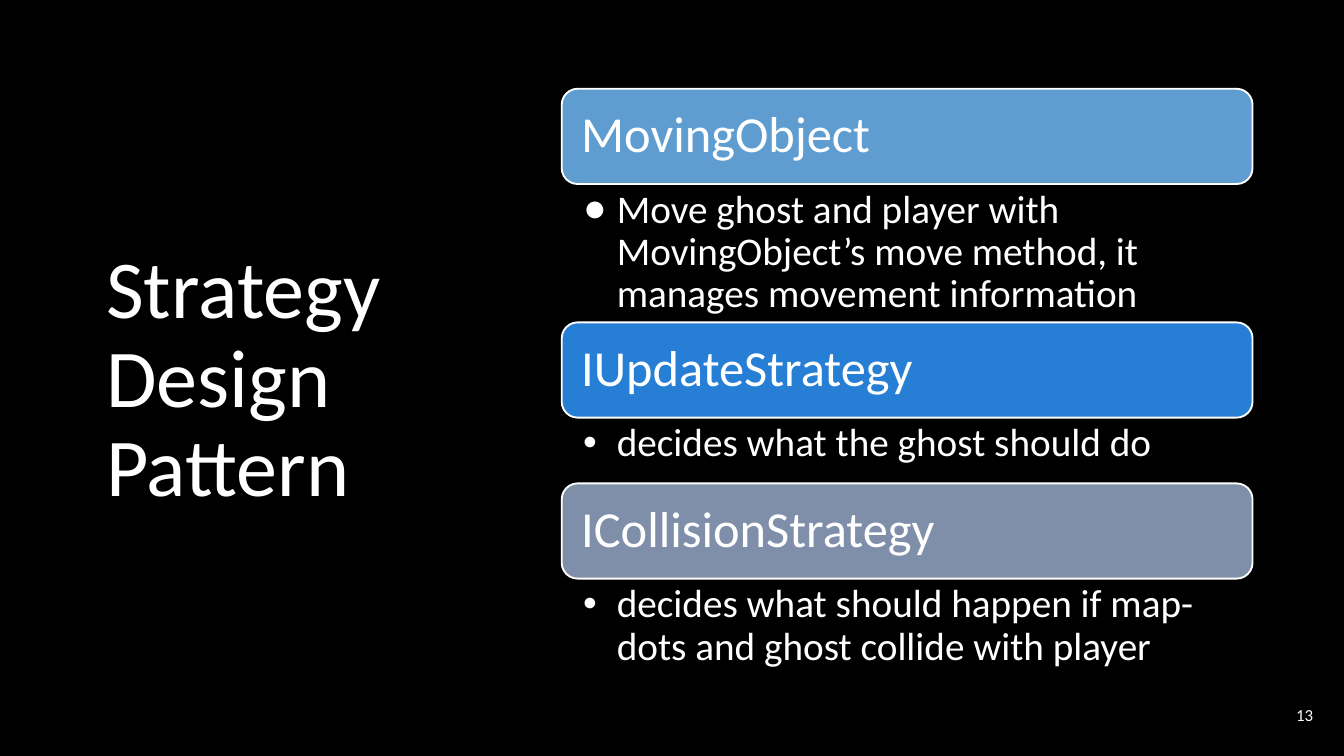
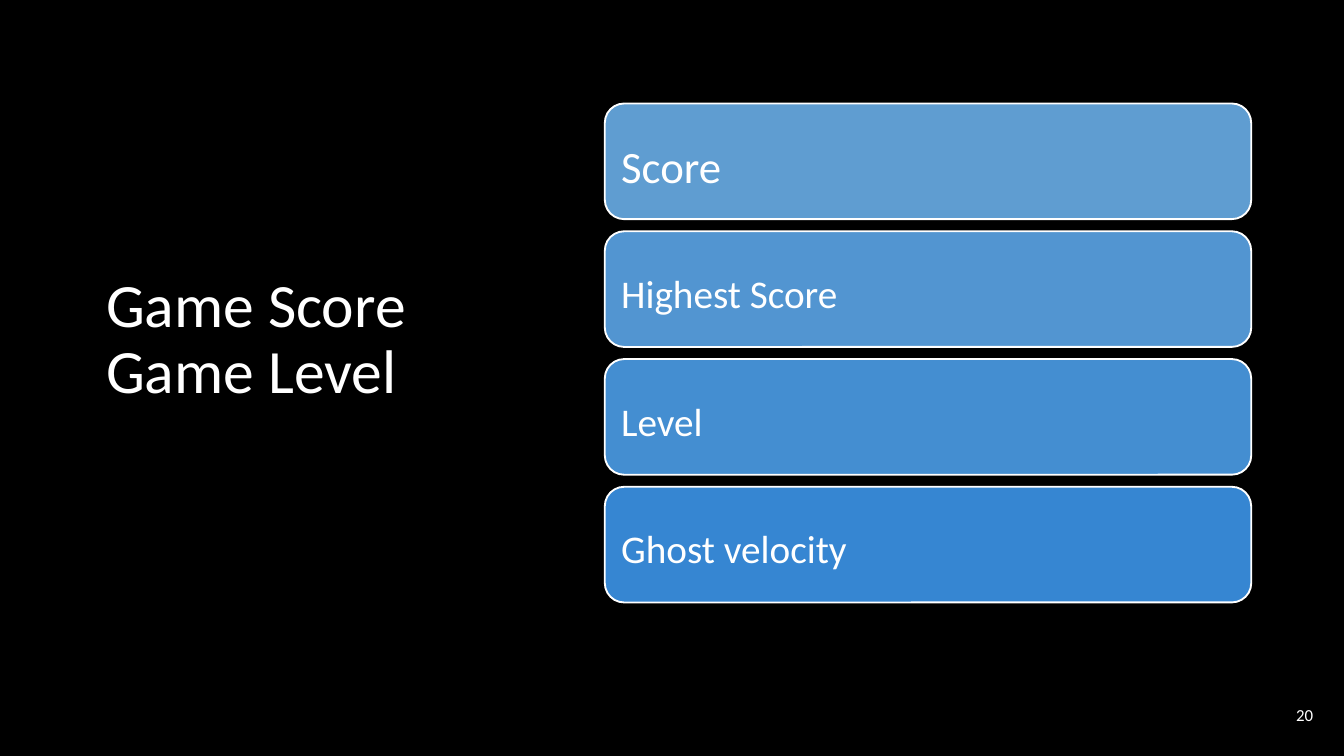
import pptx
import pptx.util
import pptx.dml.color
import pptx.enum.shapes
import pptx.enum.text
import pptx.oxml.ns
from lxml import etree

Inches, Pt = pptx.util.Inches, pptx.util.Pt
ALIGN = pptx.enum.text.PP_ALIGN
ANCHOR = pptx.enum.text.MSO_ANCHOR

# Shared look
WIDTH, HEIGHT = 10, 5.625
GRID = 100  # columns and rows on each slide
COLOURS = {
    "background": "000000", "text": "FFFFFF", "outline": "FFFFFF",
    "moving": "5F9DD1", "update": "267FD5", "collision": "7F8FA9",
    "score": "5F9DD1", "highest": "5295D1", "level": "448ED1", "velocity": "3686D2",
}
TITLE_BOX = (6.9, 10.3, 27.7, 80.2)
NUMBER_BOX = (92.7, 90.7, 6, 7.6)

# Slide content
STRATEGIES = [  # heading, colour, bullet, description, rows of description
    ("MovingObject", "moving", "●",
     "Move ghost and player with MovingObject’s move method, it manages movement information", 18.3),
    ("IUpdateStrategy", "update", "•", "decides what the ghost should do", 8.7),
    ("ICollisionStrategy", "collision", "•",
     "decides what should happen if map-dots and ghost collide with player", 12.8),
]
GAME_VALUES = [("Score", "score", 24), ("Highest Score", "highest", 21),
               ("Level", "level", 21), ("Ghost velocity", "velocity", 21)]


def rgb(name):
    return pptx.dml.color.RGBColor.from_string(COLOURS[name])


def place(left, top, width, height):
    """Turn columns and rows into slide lengths."""
    col, row = WIDTH / GRID, HEIGHT / GRID
    return Inches(left * col), Inches(top * row), Inches(width * col), Inches(height * row)


def apply(target, values):
    for name, value in values.items():
        setattr(target, name, value)


def write(shape, text, size, insets, anchor=ANCHOR.MIDDLE, align=ALIGN.LEFT, spacing=0.9, bullet=None):
    frame = shape.text_frame
    sides = ("margin_left", "margin_top", "margin_right", "margin_bottom")
    apply(frame, {
        "text": text, "word_wrap": True, "vertical_anchor": anchor,
        "auto_size": pptx.enum.text.MSO_AUTO_SIZE.NONE,
        **{side: Inches(inset) for side, inset in zip(sides, insets)},
    })
    paragraph = frame.paragraphs[0]
    apply(paragraph, {"alignment": align, "line_spacing": spacing})
    if bullet:
        add_bullet(paragraph, bullet)
    apply(paragraph.runs[0].font, {"name": "Calibri", "size": Pt(size)})
    paragraph.runs[0].font.color.rgb = rgb("text")


def add_bullet(paragraph, mark):
    properties = paragraph._p.get_or_add_pPr()
    indent = Inches(0.25)
    properties.set("marL", str(indent))
    properties.set("indent", str(-indent))
    qn = pptx.oxml.ns.qn
    colour = etree.SubElement(properties, qn("a:buClr"))
    etree.SubElement(colour, qn("a:srgbClr"), val=COLOURS["text"])
    etree.SubElement(properties, qn("a:buFont"), typeface="Arial")
    etree.SubElement(properties, qn("a:buChar"), char=mark)


def add_text(slide, box, text, size, insets, **style):
    write(slide.shapes.add_textbox(*place(*box)), text, size, insets, **style)


def add_bar(slide, box, colour, text, size, inset, spacing=0.9):
    bar = slide.shapes.add_shape(pptx.enum.shapes.MSO_SHAPE.ROUNDED_RECTANGLE, *place(*box))
    bar.adjustments[0] = 0.167
    bar.shadow.inherit = False
    bar.fill.solid()
    bar.fill.fore_color.rgb = rgb(colour)
    bar.line.color.rgb = rgb("outline")
    bar.line.width = Pt(1)
    write(bar, text, size, [inset] * 4, spacing=spacing)


def add_titled_slide(prs, title, size, number, bottom_inset=0.05):
    slide = prs.slides.add_slide(prs.slide_layouts[5])
    heading = slide.shapes.title
    apply(heading, dict(zip(("left", "top", "width", "height"), place(*TITLE_BOX))))
    write(heading, title, size, (0.1, 0.05, 0.1, bottom_inset))
    add_text(slide, NUMBER_BOX, number, 9, [0.1] * 4, align=ALIGN.RIGHT, spacing=1.0)
    return slide


def build_strategies(prs):
    slide = add_titled_slide(prs, "Strategy Design Pattern", 44, "13")
    left, width, heading_rows = 41.8, 51.4, 12.6
    top = 11.75
    for heading, colour, mark, description, rows in STRATEGIES:
        add_bar(slide, (left, top, width, heading_rows), colour, heading, 27, 0.11)
        top += heading_rows
        add_text(slide, (left, top, width, rows), description, 21, (0.16, 0.04, 0.21, 0.04),
                 anchor=ANCHOR.TOP, bullet=mark)
        top += rows


def build_game_values(prs):
    # The deeper bottom inset lifts the title above the middle
    slide = add_titled_slide(prs, "Game Score Game Level", 33, "20", bottom_inset=0.65)
    first_row, pitch = 13.7, 16.9
    for index, (label, colour, size) in enumerate(GAME_VALUES):
        add_bar(slide, (45, first_row + index * pitch, 48.1, 15.3), colour, label, size, 0.08,
                spacing=1.15)


def main():
    prs = pptx.Presentation()
    apply(prs, {"slide_width": Inches(WIDTH), "slide_height": Inches(HEIGHT)})
    backdrop = prs.slide_master.background.fill
    backdrop.solid()
    backdrop.fore_color.rgb = rgb("background")
    build_strategies(prs)
    build_game_values(prs)
    prs.save("out.pptx")


if __name__ == "__main__":
    main()
